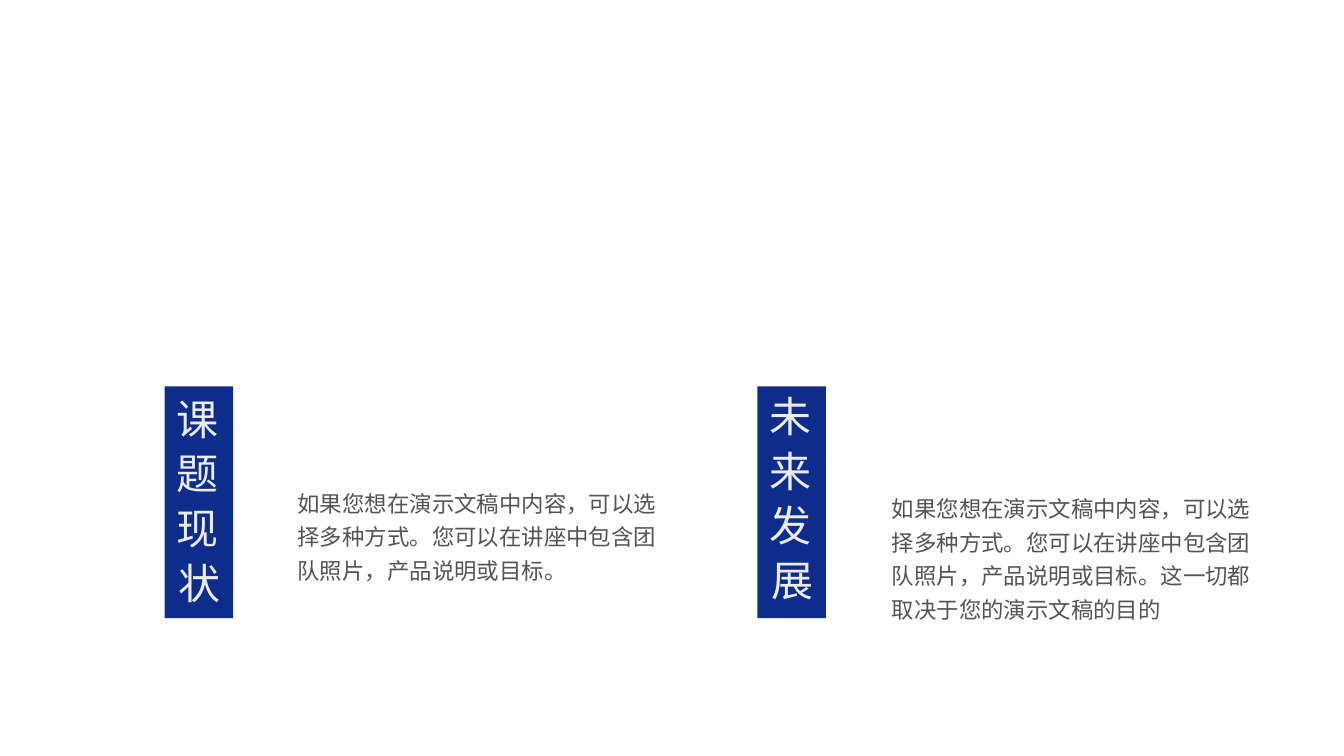
from pptx import Presentation
from pptx.dml.color import RGBColor
from pptx.enum.shapes import MSO_SHAPE
from pptx.enum.text import MSO_AUTO_SIZE, PP_ALIGN
from pptx.util import Cm, Pt

NAVY = RGBColor(0x0E, 0x2D, 0x8B)
PALE = RGBColor(0xEB, 0xEB, 0xEB)
GREY = RGBColor(0x54, 0x54, 0x54)

INTRO = "如果您想在演示文稿中内容，可以选择多种方式。您可以在讲座中包含团队照片，产品说明或目标。"
MORE = "这一切都取决于您的演示文稿的目的"

# Bar left, title, title top and height, body left, top and height, body text (cm)
TOPICS = [
    (6.22, "课题现状", 14.71, 9.17, 11.25, 18.26, 3.76, INTRO),
    (28.63, "未来发展", 14.61, 8.99, 33.71, 18.47, 5.03, INTRO + MORE),
]


def add_bar(slide, left):
    bar = slide.shapes.add_shape(
        MSO_SHAPE.RECTANGLE, Cm(left), Cm(14.61), Cm(2.59), Cm(8.76))
    bar.shadow.inherit = False
    bar.fill.solid()
    bar.fill.fore_color.rgb = NAVY
    bar.line.fill.background()


def add_text(slide, box, text, size, lead, color, align=PP_ALIGN.LEFT):
    frame = slide.shapes.add_textbox(*map(Cm, box)).text_frame
    frame.word_wrap = True
    frame.auto_size = MSO_AUTO_SIZE.SHAPE_TO_FIT_TEXT
    frame.margin_left = frame.margin_right = 0
    frame.margin_top = frame.margin_bottom = 0
    para = frame.paragraphs[0]
    para.text = text
    para.alignment = align
    para.line_spacing = Pt(lead)
    para.font.name = "Calibri"
    para.font.size = Pt(size)
    para.font.color.rgb = color
    return para


def add_title(slide, box, text):
    para = add_text(slide, box, text, 45, 58.5, PALE, PP_ALIGN.CENTER)
    # Letter spacing of 3.5 pt
    para._p.get_or_add_pPr().get_or_add_defRPr().set("spc", "350")


def main():
    deck = Presentation()
    deck.slide_width, deck.slide_height = Cm(50.8), Cm(28.58)
    slide = deck.slides.add_slide(deck.slide_layouts[6])

    # One bar with upright title and a body text per topic
    for left, title, top, high, body_x, body_y, body_h, body in TOPICS:
        add_bar(slide, left)
        add_title(slide, (left + 0.37, top, 1.88, high), title)
        add_text(slide, (body_x, body_y, 14.15, body_h), body, 24, 36, GREY)

    deck.save("out.pptx")


if __name__ == "__main__":
    main()
